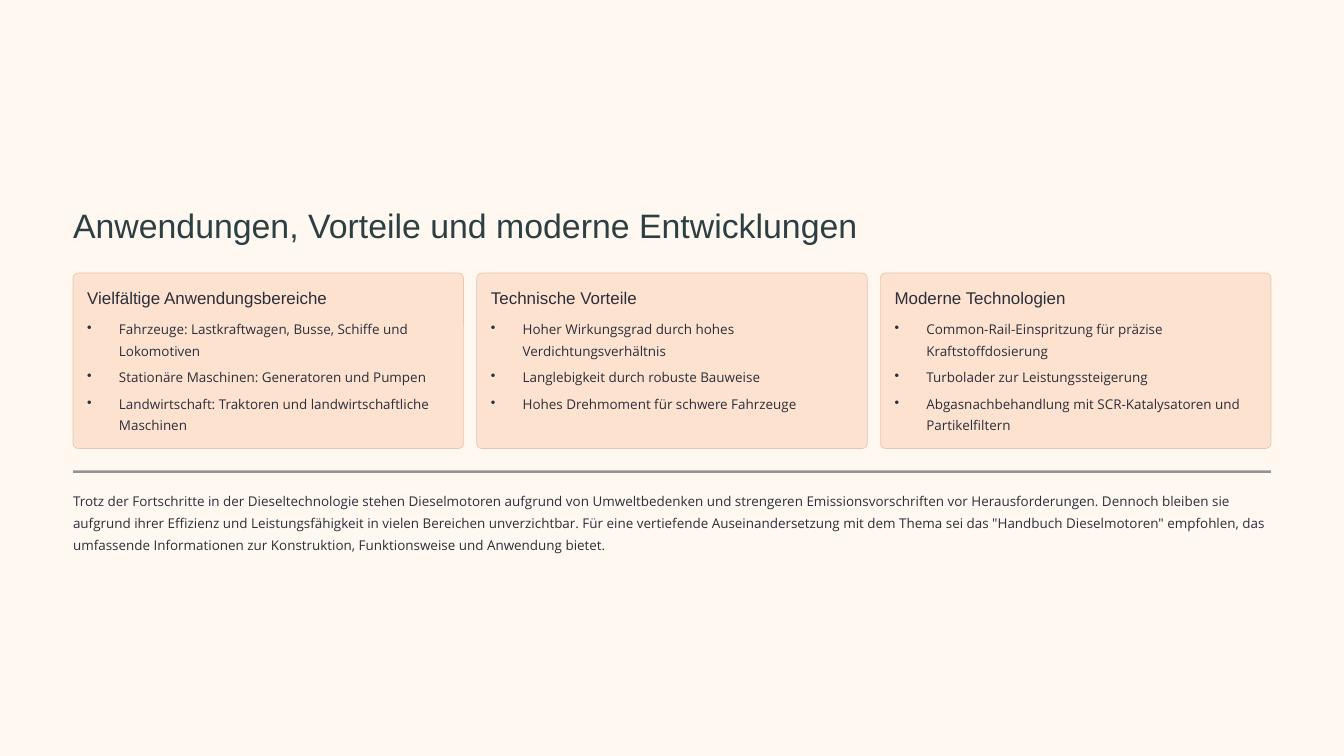
from dataclasses import dataclass

import pptx
import pptx.dml.color
import pptx.enum.shapes
import pptx.enum.text
import pptx.oxml
import pptx.oxml.ns
import pptx.util
from lxml import etree

Pt = pptx.util.Pt
RGBColor = pptx.dml.color.RGBColor
qn = pptx.oxml.ns.qn

CREAM = RGBColor(0xFF, 0xF8, 0xF0)
PEACH = RGBColor(0xFC, 0xE2, 0xCF)
PEACH_EDGE = RGBColor(0xE2, 0xC8, 0xB5)
TEAL = RGBColor(0x2C, 0x3F, 0x42)
INK = RGBColor(0x2B, 0x2E, 0x3C)

# Page grid in points
LEFT, WIDTH = 62.6, 1026.8
CARD_TOP, CARD_WIDTH, CARD_HEIGHT = 234, 334.8, 150.5
CARD_PITCH = (WIDTH - CARD_WIDTH) / 2
CARD_PADDING = 12.2
BULLET_INDENT = 27.2
DIVIDER_Y = 404.2


@dataclass(frozen=True)
class TextStyle:
    font: str
    size: float
    leading: float
    color: RGBColor


@dataclass(frozen=True)
class Card:
    heading: str
    points: tuple[str, ...]


TITLE = TextStyle("Arial", 29, 36, TEAL)
HEADING = TextStyle("Arial", 14.5, 18, INK)
BODY = TextStyle("Open Sans", 11.5, 18.5, INK)

CARDS = (
    Card("Vielfältige Anwendungsbereiche", (
        "Fahrzeuge: Lastkraftwagen, Busse, Schiffe und Lokomotiven",
        "Stationäre Maschinen: Generatoren und Pumpen",
        "Landwirtschaft: Traktoren und landwirtschaftliche Maschinen",
    )),
    Card("Technische Vorteile", (
        "Hoher Wirkungsgrad durch hohes Verdichtungsverhältnis",
        "Langlebigkeit durch robuste Bauweise",
        "Hohes Drehmoment für schwere Fahrzeuge",
    )),
    Card("Moderne Technologien", (
        "Common-Rail-Einspritzung für präzise Kraftstoffdosierung",
        "Turbolader zur Leistungssteigerung",
        "Abgasnachbehandlung mit SCR-Katalysatoren und Partikelfiltern",
    )),
)

SUMMARY = (
    "Trotz der Fortschritte in der Dieseltechnologie stehen Dieselmotoren "
    "aufgrund von Umweltbedenken und strengeren Emissionsvorschriften vor "
    "Herausforderungen. Dennoch bleiben sie aufgrund ihrer Effizienz und "
    "Leistungsfähigkeit in vielen Bereichen unverzichtbar. Für eine "
    "vertiefende Auseinandersetzung mit dem Thema sei das \"Handbuch "
    "Dieselmotoren\" empfohlen, das umfassende Informationen zur "
    "Konstruktion, Funktionsweise und Anwendung bietet."
)


def write_text(box, text: str, style: TextStyle) -> None:
    """Fill a box with one styled paragraph per line of text."""
    frame = box.text_frame
    frame.text = text
    frame.word_wrap = True
    frame.auto_size = pptx.enum.text.MSO_AUTO_SIZE.NONE
    frame.vertical_anchor = pptx.enum.text.MSO_ANCHOR.TOP
    frame.margin_left = frame.margin_right = 0
    frame.margin_top = frame.margin_bottom = 0
    for para in frame.paragraphs:
        para.alignment = pptx.enum.text.PP_ALIGN.LEFT
        para.line_spacing = Pt(style.leading)
        for span in para.runs:
            span.font.name = style.font
            span.font.size = Pt(style.size)
            span.font.color.rgb = style.color


def add_text(page, left: float, top: float, width: float, height: float,
             text: str, style: TextStyle):
    box = page.shapes.add_textbox(Pt(left), Pt(top), Pt(width), Pt(height))
    write_text(box, text, style)
    return box


def add_bullets(box) -> None:
    for index, para in enumerate(box.text_frame.paragraphs):
        properties = para._p.get_or_add_pPr()
        properties.set("marL", str(Pt(BULLET_INDENT)))
        properties.set("indent", str(-Pt(BULLET_INDENT)))
        etree.SubElement(properties, qn("a:buChar"), char="•")
        if index:
            para.space_before = Pt(4.2)


def add_card(page, card: Card, left: float) -> None:
    panel = page.shapes.add_shape(
        pptx.enum.shapes.MSO_SHAPE.ROUNDED_RECTANGLE,
        Pt(left), Pt(CARD_TOP), Pt(CARD_WIDTH), Pt(CARD_HEIGHT))
    panel.adjustments[0] = 0.03
    panel.shadow.inherit = False
    panel.fill.solid()
    panel.fill.fore_color.rgb = PEACH
    panel.line.color.rgb = PEACH_EDGE
    panel.line.width = Pt(0.6)

    text_left = left + CARD_PADDING
    text_width = CARD_WIDTH - 2 * CARD_PADDING
    add_text(page, text_left, CARD_TOP + CARD_PADDING, text_width, 18,
             card.heading, HEADING)
    points = add_text(page, text_left, 270.7, text_width, 101.5,
                      "\n".join(card.points), BODY)
    add_bullets(points)


def add_divider(page) -> None:
    divider = page.shapes.add_connector(
        pptx.enum.shapes.MSO_CONNECTOR.STRAIGHT,
        Pt(LEFT), Pt(DIVIDER_Y), Pt(LEFT + WIDTH), Pt(DIVIDER_Y))
    divider.line.width = Pt(2.1)
    divider.line.color.rgb = INK
    color = divider._element.spPr.find(".//" + qn("a:srgbClr"))
    etree.SubElement(color, qn("a:alpha"), val="50000")
    etree.SubElement(divider._element.spPr, qn("a:effectLst"))


def main() -> None:
    deck = pptx.Presentation()
    deck.slide_width, deck.slide_height = Pt(1152), Pt(648)
    page = deck.slides.add_slide(deck.slide_layouts[5])
    page.background.fill.solid()
    page.background.fill.fore_color.rgb = CREAM

    # Title
    title = page.shapes.title
    title.left, title.top = Pt(LEFT), Pt(174.2)
    title.width, title.height = Pt(WIDTH), Pt(36)
    write_text(title, "Anwendungen, Vorteile und moderne Entwicklungen", TITLE)

    # Three cards
    for column, card in enumerate(CARDS):
        add_card(page, card, LEFT + column * CARD_PITCH)

    # Divider and closing paragraph
    add_divider(page)
    add_text(page, LEFT, 418.3, WIDTH, 55.5, SUMMARY, BODY)

    deck.save("out.pptx")


if __name__ == "__main__":
    main()
